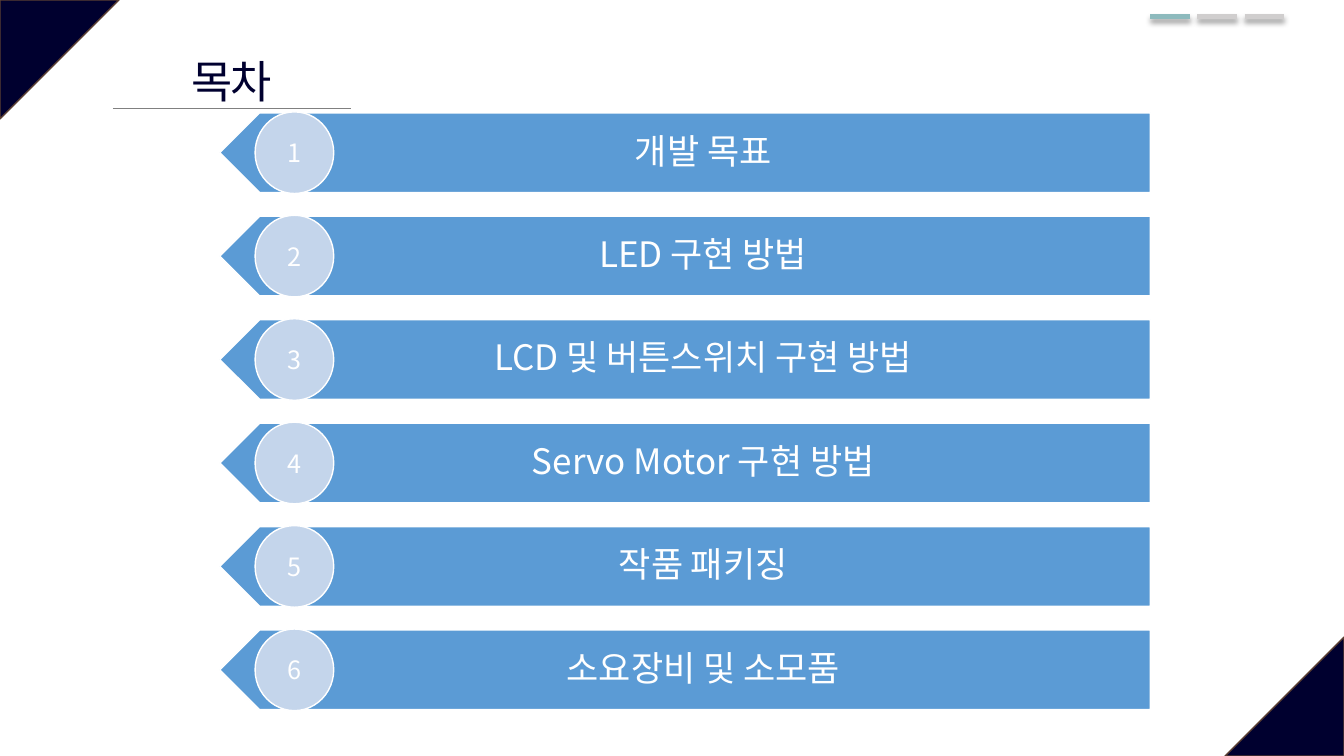
from lxml import etree
from pptx import Presentation
from pptx.dml.color import RGBColor
from pptx.enum.shapes import MSO_CONNECTOR as Connector, MSO_SHAPE as Preset
from pptx.enum.text import MSO_ANCHOR as Anchor, MSO_AUTO_SIZE as AutoSize, PP_ALIGN as Align
from pptx.oxml.ns import qn
from pptx.util import Inches, Pt

SLIDE_WIDTH, SLIDE_HEIGHT = 13.33, 7.5
FONT = "Noto Sans CJK KR"
NAVY = RGBColor(0x00, 0x00, 0x2F)
BROWN = RGBColor(0x5B, 0x3F, 0x33)
GRAY = RGBColor(0x80, 0x80, 0x80)
LIGHT_GRAY = RGBColor(0xD0, 0xCE, 0xCE)
TEAL = RGBColor(0x8D, 0xBA, 0xBD)
BLUE = RGBColor(0x5B, 0x9B, 0xD5)
PALE_BLUE = RGBColor(0xC4, 0xD5, 0xEB)
WHITE = RGBColor(0xFF, 0xFF, 0xFF)

TITLE = "목차"
TOPICS = [
    "개발 목표",
    "LED 구현 방법",
    "LCD 및 버튼스위치 구현 방법",
    "Servo Motor 구현 방법",
    "작품 패키징",
    "소요장비 및 소모품",
]


def inches(*lengths):
    return [Inches(length) for length in lengths]


def write_text(shape, text, size, color=WHITE, line_spacing=None, tracking=None,
               wrap=True, margins=(0.1, 0.05, 0.1, 0.05)):
    """Write one centred paragraph; tracking is in points, margins in inches."""
    frame = shape.text_frame
    frame.auto_size = AutoSize.NONE
    frame.word_wrap = wrap
    frame.vertical_anchor = Anchor.MIDDLE
    (frame.margin_left, frame.margin_top,
     frame.margin_right, frame.margin_bottom) = inches(*margins)
    paragraph = frame.paragraphs[0]
    paragraph.alignment = Align.CENTER
    if line_spacing:
        paragraph.line_spacing = line_spacing
    run = paragraph.add_run()
    run.text = text
    run.font.size = Pt(size)
    run.font.color.rgb = color
    run.font.name = FONT
    properties = run.font._element
    etree.SubElement(properties, qn("a:ea"), typeface=FONT)
    if tracking:
        properties.set("spc", str(int(tracking * 100)))


def add_filled_shape(slide, preset, box, fill, line, rotation=0):
    shape = slide.shapes.add_shape(preset, *inches(*box))
    shape.shadow.inherit = False
    shape.fill.solid()
    shape.fill.fore_color.rgb = fill
    shape.line.color.rgb = line
    shape.line.width = Pt(1)
    shape.rotation = rotation
    return shape


def add_rule(slide, left, top, width, color, weight, shadow=False):
    """Draw a horizontal line, with a soft shadow below it if asked."""
    rule = slide.shapes.add_connector(
        Connector.STRAIGHT, *inches(left, top, left + width, top))
    rule.line.color.rgb = color
    rule.line.width = Pt(weight)
    effects = etree.SubElement(rule._element.spPr, qn("a:effectLst"))
    if shadow:
        outer = etree.SubElement(
            effects, qn("a:outerShdw"), blurRad=str(Pt(4)), dist=str(Pt(3)),
            dir="5400000", algn="t", rotWithShape="0")
        black = etree.SubElement(outer, qn("a:srgbClr"), val="000000")
        etree.SubElement(black, qn("a:alpha"), val="40000")


def add_corners(slide, size):
    """Fill the top left and bottom right corners of the slide."""
    corners = [(0, 0, 90), (SLIDE_WIDTH - size, SLIDE_HEIGHT - size, 270)]
    for left, top, rotation in corners:
        triangle = add_filled_shape(
            slide, Preset.ISOSCELES_TRIANGLE, (left, top, size, size), NAVY, BROWN, rotation)
        triangle.adjustments[0] = 0


def add_title(slide, left, top, width, height):
    """Place the title over a thin rule along the foot of the box."""
    title = slide.shapes.title
    title_width = 0.45 * width
    title.left, title.top, title.width, title.height = inches(
        left + 0.65, top, title_width, height)
    write_text(title, TITLE, 32, NAVY, tracking=-1.5, wrap=False)
    add_rule(slide, left, top + 0.6, width, GRAY, 0.5)


def add_progress(slide, left, top, width, steps=3, current=0):
    pitch = width / steps
    for step in range(steps):
        color = TEAL if step == current else LIGHT_GRAY
        add_rule(slide, left + step * pitch, top, 0.85 * pitch, color, 3.5, shadow=True)


def add_topic(slide, number, topic, left, top, width, height):
    """Draw an arrow bar that points left, with its topic and numbered circle."""
    add_filled_shape(slide, Preset.PENTAGON, (left, top, width, height), BLUE, WHITE, 180)
    label = slide.shapes.add_textbox(*inches(left + 0.2, top, width - 0.2, height))
    write_text(label, topic, 25, line_spacing=0.9, margins=(0.35, 0.1, 0.19, 0.1))
    circle = add_filled_shape(
        slide, Preset.OVAL, (left + 0.35, top - 0.01, 0.78, height + 0.02), PALE_BLUE, WHITE)
    write_text(circle, str(number), 18)


def add_topics(slide, left, top, width, height):
    bar_height = 0.79
    pitch = (height - bar_height) / (len(TOPICS) - 1)
    for index, topic in enumerate(TOPICS):
        add_topic(slide, index + 1, topic, left, top + index * pitch, width, bar_height)


def main():
    presentation = Presentation()
    presentation.slide_width, presentation.slide_height = inches(SLIDE_WIDTH, SLIDE_HEIGHT)
    slide = presentation.slides.add_slide(presentation.slide_layouts.get_by_name("Title Only"))
    add_corners(slide, 1.18)
    add_title(slide, 1.12, 0.48, 2.36, 0.64)
    add_progress(slide, 11.41, 0.16, 1.4)
    add_topics(slide, 2.18, 1.12, 9.23, 5.92)
    presentation.save("out.pptx")


if __name__ == "__main__":
    main()
